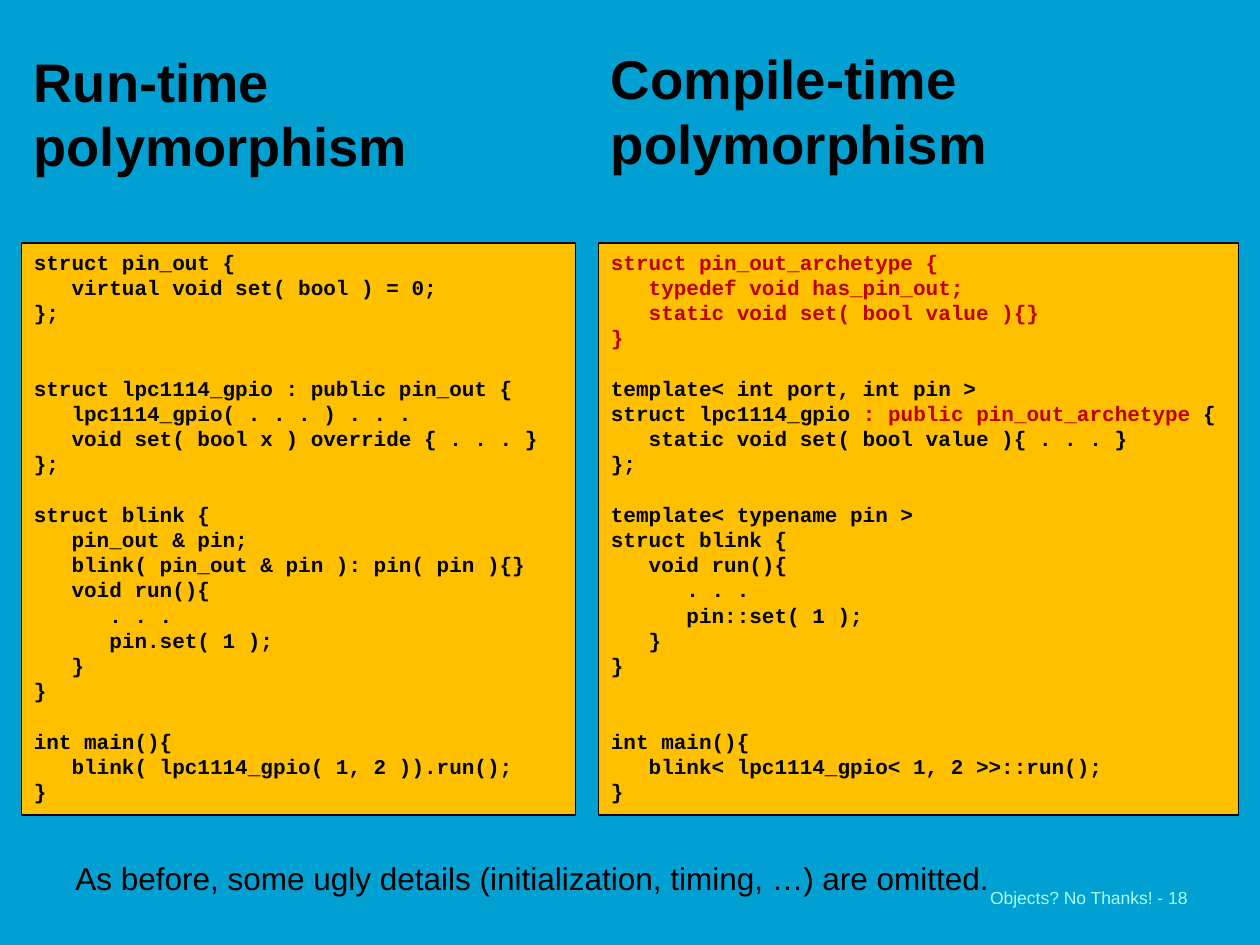
import pptx
import pptx.util
import pptx.dml.color
import pptx.enum.shapes
import pptx.enum.text

Inches = pptx.util.Inches
Pt = pptx.util.Pt
RGBColor = pptx.dml.color.RGBColor
Anchor = pptx.enum.text.MSO_ANCHOR

BLUE = RGBColor(0x00, 0xA0, 0xD2)
AMBER = RGBColor(0xFF, 0xC0, 0x00)
RED = RGBColor(0xC0, 0x00, 0x00)
BLACK = RGBColor(0x00, 0x00, 0x00)
PALE_CYAN = RGBColor(0xAA, 0xFF, 0xFD)

CODE_LINE_HEIGHT = 14.4

RUN_TIME_CODE = """\
struct pin_out {
   virtual void set( bool ) = 0;
};


struct lpc1114_gpio : public pin_out {
   lpc1114_gpio( . . . ) . . .
   void set( bool x ) override { . . . }
};

struct blink {
   pin_out & pin;
   blink( pin_out & pin ): pin( pin ){}
   void run(){
      . . .
      pin.set( 1 );
   }
}

int main(){
   blink( lpc1114_gpio( 1, 2 )).run();
}"""

COMPILE_TIME_CODE = """\
struct pin_out_archetype {
   typedef void has_pin_out;
   static void set( bool value ){}
}

template< int port, int pin >
struct lpc1114_gpio : public pin_out_archetype {
   static void set( bool value ){ . . . }
};

template< typename pin >
struct blink {
   void run(){
      . . .
      pin::set( 1 );
   }
}


int main(){
   blink< lpc1114_gpio< 1, 2 >>::run();
}"""

ARCHETYPE_LINES = 4
ARCHETYPE_BASE = ": public pin_out_archetype "


def add_label(left, top, width, height, text, size, color=BLACK,
              bold=False, anchor=Anchor.TOP, wrap=True, line_height=None):
    box = slide.shapes.add_textbox(Inches(left), Inches(top), Inches(width), Inches(height))
    frame = box.text_frame
    frame.word_wrap = wrap
    frame.vertical_anchor = anchor
    frame.text = text
    paragraph = frame.paragraphs[0]
    if line_height:
        paragraph.line_spacing = Pt(line_height)
    font = paragraph.runs[0].font
    font.name, font.size, font.bold = "Arial", Pt(size), bold
    font.color.rgb = color


def add_code_panel(left, width, code, red_lines=0, red_phrase=None):
    """Show code; the first red_lines lines and red_phrase are red."""
    panel = slide.shapes.add_shape(pptx.enum.shapes.MSO_SHAPE.RECTANGLE,
                                   Inches(left), Inches(1.93), Inches(width), Inches(4.54))
    panel.shadow.inherit = False
    panel.fill.solid()
    panel.fill.fore_color.rgb = AMBER
    panel.line.color.rgb = BLACK
    panel.line.width = Pt(0.75)
    frame = panel.text_frame
    frame.word_wrap = True
    frame.vertical_anchor = Anchor.TOP
    blank_lines = 0
    for number, line in enumerate(code.splitlines()):
        if not line:
            blank_lines += 1
            continue
        paragraph = frame.add_paragraph() if number else frame.paragraphs[0]
        paragraph.alignment = pptx.enum.text.PP_ALIGN.LEFT
        paragraph.line_spacing = Pt(CODE_LINE_HEIGHT)
        if blank_lines:
            paragraph.space_before = Pt(blank_lines * CODE_LINE_HEIGHT)
            blank_lines = 0
        parts = line.partition(red_phrase) if red_phrase else [line]
        for part in filter(None, parts):
            run = paragraph.add_run()
            run.text = part
            font = run.font
            font.name, font.size, font.bold = "Courier New", Pt(12), True
            font.color.rgb = RED if number < red_lines or part == red_phrase else BLACK


presentation = pptx.Presentation()
presentation.slide_width = Inches(10)
presentation.slide_height = Inches(7.5)
slide = presentation.slides.add_slide(presentation.slide_layouts[6])
slide.background.fill.solid()
slide.background.fill.fore_color.rgb = BLUE

add_label(0.17, 0.21, 4.07, 1.25, "Run-time polymorphism", 31,
          bold=True, anchor=Anchor.BOTTOM, line_height=37)
add_code_panel(0.17, 4.4, RUN_TIME_CODE)
add_code_panel(4.75, 5.08, COMPILE_TIME_CODE, ARCHETYPE_LINES, ARCHETYPE_BASE)
add_label(0.5, 6.77, 8.67, 0.51,
          "As before, some ugly details (initialization, timing, …) are omitted.", 18)
add_label(4.75, 0.13, 4.5, 1.5, "Compile-time polymorphism", 31.2,
          bold=True, anchor=Anchor.MIDDLE, line_height=37)
add_label(7.76, 6.87, 2.08, 0.5, "Objects? No Thanks! - 18", 10, PALE_CYAN,
          anchor=Anchor.MIDDLE, wrap=False)

presentation.save("out.pptx")
